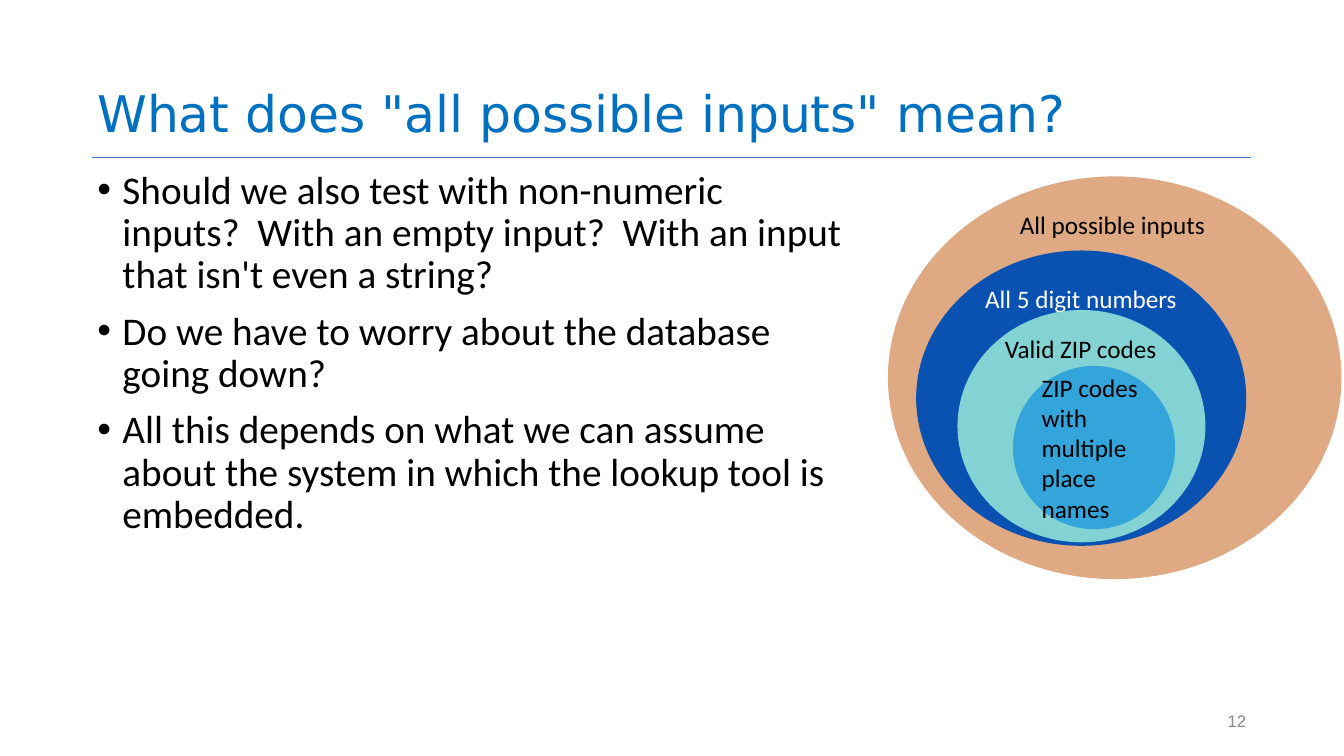
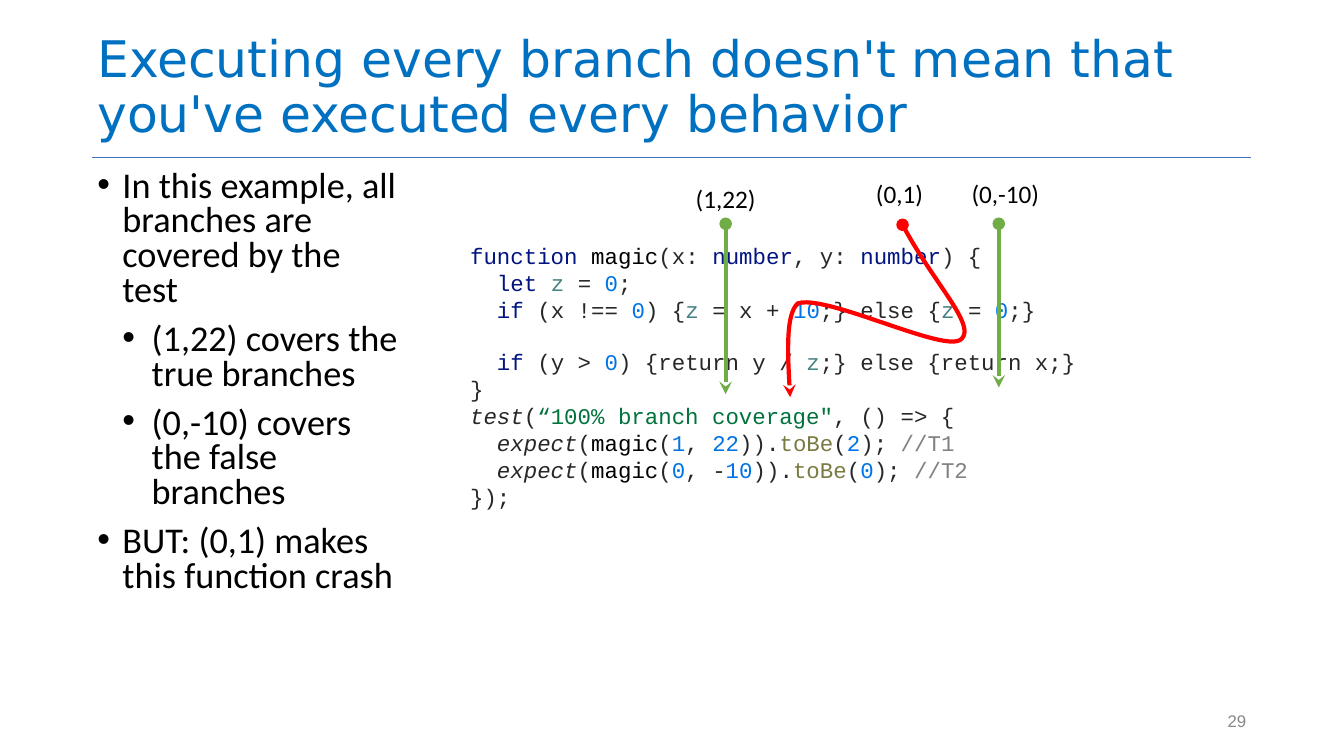
import pptx
import pptx.util
import pptx.dml.color
import pptx.enum.shapes
import pptx.enum.text
import pptx.oxml.ns
from lxml import etree

Inches, Pt = pptx.util.Inches, pptx.util.Pt
ALIGN, ANCHOR = pptx.enum.text.PP_ALIGN, pptx.enum.text.MSO_ANCHOR
STRAIGHT = pptx.enum.shapes.MSO_CONNECTOR.STRAIGHT
OVAL = pptx.enum.shapes.MSO_SHAPE.OVAL
qn = pptx.oxml.ns.qn

# Shared look
BLUE, RULE, GREY = "0070C0", "4472C4", "888888"
BLACK, WHITE, GREEN, RED = "000000", "FFFFFF", "70AD47", "FF0000"
SANS, HEAD, MONO = "Calibri", "DejaVu Sans", "Courier New"


def ink(color, code):
    """Set a fill, line or font colour from a hex string."""
    color.rgb = pptx.dml.color.RGBColor.from_string(code)


def style(shape, size, font=SANS, code=BLACK, align=ALIGN.LEFT,
          anchor=ANCHOR.TOP, wrap=True):
    """Format the frame and every paragraph of a shape."""
    frame = shape.text_frame
    frame.auto_size = pptx.enum.text.MSO_AUTO_SIZE.NONE
    frame.word_wrap = wrap
    frame.vertical_anchor = anchor
    frame.margin_left = frame.margin_right = Inches(0.1)
    frame.margin_top = frame.margin_bottom = Inches(0.1)
    for para in frame.paragraphs:
        para.alignment = align
        para.font.size, para.font.name = Pt(size), font
        ink(para.font.color, code)


prs = pptx.Presentation()
prs.slide_width, prs.slide_height = Inches(26.67), Inches(15)

# Title, list and page number of each slide; list items are (level, text)
pages = [
    dict(title='What does "all possible inputs" mean?', wide=24.14, num="12",
         box=(15.08, 10.18), size=56, lead=0.9, items=[
             (0, "Should we also test with non-numeric inputs?  With an empty "
                 "input?  With an input that isn't even a string?"),
             (0, "Do we have to worry about the database going down?"),
             (0, "All this depends on what we can assume about the system in "
                 "which the lookup tool is embedded.")]),
    dict(title="Executing every branch doesn't mean that you've executed "
               "every behavior", wide=23, num="29",
         box=(6.17, 9.52), size=51.8, lead=0.8, items=[
             (0, "In this example, all branches are covered by the test"),
             (1, "(1,22) covers the true branches"),
             (1, "(0,-10) covers the false branches"),
             (0, "BUT: (0,1) makes this function crash")]),
]
indents = [(0.5, -0.5), (1.08, -0.58)]

for page in pages:
    slide = prs.slides.add_slide(prs.slide_layouts[1])
    title, body = slide.placeholders

    # Rule under the title
    rule = slide.shapes.add_connector(
        STRAIGHT, Inches(1.83), Inches(3.13), Inches(24.83), Inches(3.13))
    ink(rule.line.color, RULE)
    rule.line.width = Pt(1)
    etree.SubElement(rule._element.spPr, qn("a:effectLst"))

    # Title
    title.left, title.top = Inches(1.83), Inches(0.04)
    title.width, title.height = Inches(page["wide"]), Inches(2.9)
    title.text_frame.text = page["title"]
    title.text_frame.paragraphs[0].line_spacing = 0.9
    style(title, 72, HEAD, BLUE, anchor=ANCHOR.BOTTOM)

    # Bulleted list
    body.left, body.top = Inches(1.83), Inches(3.28)
    body.width, body.height = map(Inches, page["box"])
    body.text_frame.text = "\n".join(text for _, text in page["items"])
    for i, para in enumerate(body.text_frame.paragraphs):
        para.level = page["items"][i][0]
        left, hang = indents[para.level]
        props = para._p.get_or_add_pPr()
        props.set("marL", str(Inches(left)))
        props.set("indent", str(Inches(hang)))
        etree.SubElement(props, qn("a:buFont"), typeface="Arial")
        etree.SubElement(props, qn("a:buChar"), char="•")
        para.line_spacing = page["lead"]
        para.space_before = Pt(20 if i else 0)
    style(body, page["size"])

    # Page number
    num = slide.shapes.add_textbox(
        Inches(24.28), Inches(14.04), Inches(0.55), Inches(0.53))
    num.text_frame.text = page["num"]
    style(num, 24, "Arial", GREY, ALIGN.RIGHT, ANCHOR.MIDDLE, False)

first, second = prs.slides

# Nested input sets: ellipse box, fill, label box, label, label colour
rings = [
    ((17.62, 3.5, 9, 7.99), "DEA983",
     (20.14, 4.05, 3.88, 0.7), "All possible inputs", BLACK),
    ((18.18, 4.97, 6.55, 5.86), "0A52B1",
     (19.45, 5.53, 4.02, 0.7), "All 5 digit numbers", WHITE),
    ((19, 6.15, 4.92, 4.61), "83D3D4",
     (19.84, 6.52, 3.22, 0.7), "Valid ZIP codes", BLACK),
    ((20.1, 7.26, 3.22, 3.24), "34A5DA",
     None, "ZIP codes with multiple place names", BLACK),
]
for box, fill, spot, text, code in rings:
    ring = first.shapes.add_shape(OVAL, *map(Inches, box))
    ring.shadow.inherit = False
    ring.fill.solid()
    ink(ring.fill.fore_color, fill)
    ring.line.fill.background()
    label = first.shapes.add_textbox(*map(Inches, spot)) if spot else ring
    label.text_frame.text = text
    style(label, 36, SANS, code, wrap=not spot,
          anchor=ANCHOR.TOP if spot else ANCHOR.MIDDLE)

# Code listing: each run is (token kind, text)
tints = dict(key="011480", name=BLACK, base="272727", call="272727",
             var="458383", num="0073E6", text="00733B", meth="7A7A43",
             note="808080")
code = [
    [("key", "function "), ("name", "magic"), ("base", "(x: "),
     ("key", "number"), ("base", ", y: "), ("key", "number"), ("base", ") {")],
    [("key", "  let "), ("var", "z "), ("base", "= "), ("num", "0"),
     ("base", ";")],
    [("key", "  if "), ("base", "(x !== "), ("num", "0"), ("base", ") {"),
     ("var", "z "), ("base", "= x + "), ("num", "10"), ("base", ";} else {"),
     ("var", "z "), ("base", "= "), ("num", "0"), ("base", ";}")],
    [("key", "  if "), ("base", "(y > "), ("num", "0"),
     ("base", ") {return y / "), ("var", "z"), ("base", ";} else {return x;}")],
    [("base", "}")],
    [("call", "test"), ("base", "("), ("text", "“100% branch coverage\""),
     ("base", ", () => {")],
]
for x, sep, y, want, note in [("1", ", ", "22", "2", "//T1"),
                              ("0", ", -", "10", "0", "//T2")]:
    code.append([("call", "  expect"), ("base", "("), ("name", "magic"),
                 ("base", "("), ("num", x), ("base", sep), ("num", y),
                 ("base", "))."), ("meth", "toBe"), ("base", "("),
                 ("num", want), ("base", "); "), ("note", note)])
code.append([("base", "});")])

pane = second.shapes.add_textbox(
    Inches(9.23), Inches(4.71), Inches(16.01), Inches(5.59))
for i, line in enumerate(code):
    frame = pane.text_frame
    para = frame.add_paragraph() if i else frame.paragraphs[0]
    if i == 3:
        para.space_before = Pt(36)  # one line's gap before the second test
    for kind, text in line:
        run = para.add_run()
        run.text = text
        ink(run.font.color, tints[kind])
        if kind == "call":
            run.font.italic = True
style(pane, 32, MONO, tints["base"])

# Straight paths through the code
paths = []
for x, top, end in [(14.4, 4.44, 7.82), (19.82, 4.44, 7.69)]:
    path = second.shapes.add_connector(
        STRAIGHT, Inches(x), Inches(top), Inches(x), Inches(end))
    paths.append((path, GREEN))

# Curved path, traced along cubic curves
start = (17.91, 4.46)
curves = [[(18.53, 5.63), (19.41, 6.48), (19.06, 6.74)],
          [(18.72, 7), (16.39, 5.83), (15.83, 6.02)],
          [(15.58, 6.25), (15.63, 7.06), (15.68, 7.88)]]
steps = 24
trace, last = [], start
for a, b, end in curves:
    for i in range(1, steps + 1):
        t = i / steps
        u = 1 - t
        trace.append([Inches(u**3 * p + 3 * u * u * t * q + 3 * u * t * t * r
                             + t**3 * s)
                      for p, q, r, s in zip(last, a, b, end)])
    last = end
build = second.shapes.build_freeform(*map(Inches, start))
build.add_line_segments(trace, close=False)
curve = build.convert_to_shape()
curve.fill.background()
paths.append((curve, RED))

# Path colours and arrowheads
for path, tint in paths:
    ink(path.line.color, tint)
    path.line.width = Pt(6)
    edge = path._element.spPr.find(qn("a:ln"))
    etree.SubElement(edge, qn("a:headEnd"), type="oval")
    etree.SubElement(edge, qn("a:tailEnd"), type="stealth")
    etree.SubElement(path._element.spPr, qn("a:effectLst"))

# Path labels
for x, y, text in [(13.04, 3.53, "(1,22)"), (18.59, 3.43, "(0,-10)"),
                   (16.49, 3.43, "(0,1)")]:
    label = second.shapes.add_textbox(
        Inches(x), Inches(y), Inches(2.72), Inches(0.81))
    label.text_frame.text = text
    style(label, 36, align=ALIGN.CENTER)

prs.save("out.pptx")
